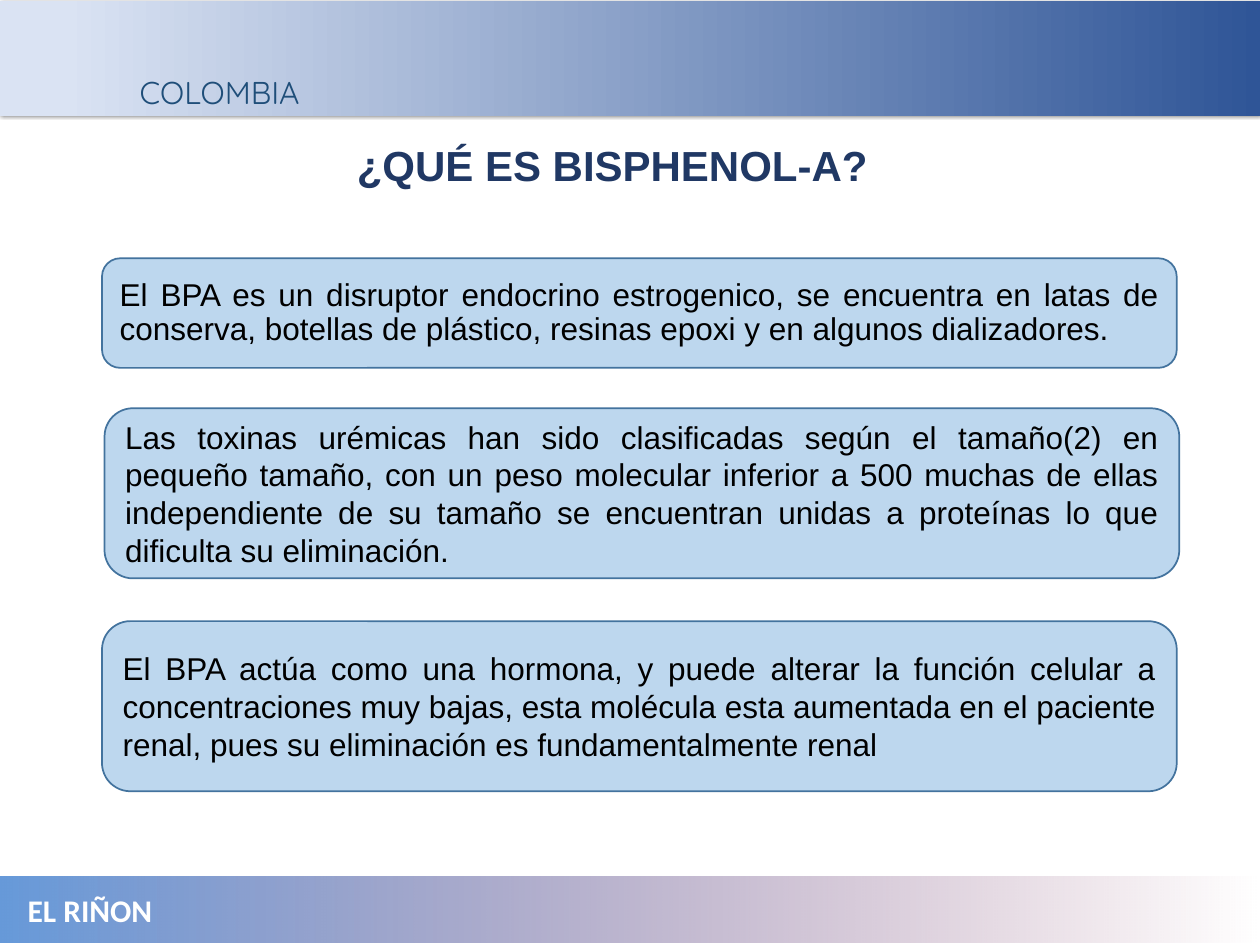
from pptx import Presentation
from pptx.dml.color import RGBColor
from pptx.enum.shapes import MSO_SHAPE
from pptx.enum.text import MSO_ANCHOR, MSO_AUTO_SIZE, PP_ALIGN
from pptx.oxml.ns import qn
from pptx.util import Inches, Pt
from lxml.etree import SubElement

NAVY = RGBColor(0x2F, 0x55, 0x97)
PALE = RGBColor(0xDA, 0xE3, 0xF3)
WINE = RGBColor(0x82, 0x2A, 0x55)
BLUE = RGBColor(0x55, 0x8E, 0xD5)
TEAL = RGBColor(0x1F, 0x4E, 0x79)
DARK = RGBColor(0x20, 0x38, 0x64)
SKY = RGBColor(0xBD, 0xD7, 0xEE)
EDGE = RGBColor(0x43, 0x73, 0x9E)
WHITE = RGBColor(0xFF, 0xFF, 0xFF)
BLACK = RGBColor(0, 0, 0)

CARDS = [
    (0.81, 2.05, 0.87, 0.9,
     "El BPA es un disruptor endocrino estrogenico, se encuentra en latas de "
     "conserva, botellas de plástico, resinas epoxi y en algunos dializadores."),
    (0.83, 3.24, 1.35, None,
     "Las toxinas urémicas han sido clasificadas según el tamaño(2) en pequeño "
     "tamaño, con un peso molecular inferior a 500 muchas de ellas independiente "
     "de su tamaño se encuentran unidas a proteínas lo que dificulta su eliminación."),
    (0.81, 4.93, 1.35, None,
     "El BPA actúa como una hormona, y puede alterar la función celular a "
     "concentraciones muy bajas, esta molécula esta aumentada en el paciente "
     "renal, pues su eliminación es fundamentalmente renal"),
]


class Deck:
    """Holds the text style and the current slide."""

    size = 18
    face = "Arial"

    def __init__(self, slide):
        self.slide = slide

    def add_text(self, frame, text, color, align, face=None, size=None, bold=False, space=None):
        frame.word_wrap = True
        para = frame.paragraphs[0]
        para.alignment = align
        para.line_spacing = space
        run = para.add_run()
        run.text = text
        font = run.font
        font.name = face or self.face
        font.size = Pt(size or self.size)
        font.bold = bold
        font.color.rgb = color

    def shape(self, kind, left, top, width, height):
        item = self.slide.shapes.add_shape(
            kind, Inches(left), Inches(top), Inches(width), Inches(height))
        item.shadow.inherit = False
        return item

    def band(self, top, height, stops):
        item = self.shape(MSO_SHAPE.RECTANGLE, 0, top, 10, height)
        item.line.fill.background()
        item.fill.gradient()
        item.fill.gradient_angle = 180
        for stop, (place, color, _) in zip(item.fill.gradient_stops, stops):
            stop.position = place
            stop.color.rgb = color
        for node, (_, _, alpha) in zip(item._element.spPr.iter(qn("a:srgbClr")), stops):
            SubElement(node, qn("a:alpha"), val=str(alpha * 1000))
        return item

    def shade(self, item):
        effects = item._element.spPr.find(qn("a:effectLst"))
        outer = SubElement(effects, qn("a:outerShdw"), blurRad=str(int(Pt(2))), dist="0", dir="0")
        color = SubElement(outer, qn("a:srgbClr"), val=str(BLACK))
        SubElement(color, qn("a:alpha"), val="40000")

    def label(self, left, top, width, text, color, align, face, bold=False):
        box = self.slide.shapes.add_textbox(
            Inches(left), Inches(top), Inches(width), Inches(0.4))
        self.add_text(box.text_frame, text, color, align, face, bold=bold)
        box.text_frame.auto_size = MSO_AUTO_SIZE.SHAPE_TO_FIT_TEXT

    def title(self, text):
        item = self.slide.shapes.title
        item.left, item.top = Inches(1.77), Inches(1)
        item.width, item.height = Inches(6.18), Inches(0.67)
        item.text_frame.vertical_anchor = MSO_ANCHOR.MIDDLE
        self.add_text(item.text_frame, text, DARK, PP_ALIGN.CENTER, size=24, bold=True, space=0.9)

    def card(self, left, top, height, space, text):
        item = self.shape(MSO_SHAPE.ROUNDED_RECTANGLE, left, top, 8.53, height)
        item.fill.solid()
        item.fill.fore_color.rgb = SKY
        item.line.color.rgb = EDGE
        item.line.width = Pt(1)
        item.text_frame.vertical_anchor = MSO_ANCHOR.MIDDLE
        self.add_text(item.text_frame, text, BLACK, PP_ALIGN.JUSTIFY, space=space)


def main():
    show = Presentation()
    show.slide_width, show.slide_height = Inches(10), Inches(7.5)
    deck = Deck(show.slides.add_slide(show.slide_layouts[5]))
    head = deck.band(0.01, 0.91, [(0, NAVY, 100), (0.95, PALE, 100)])
    deck.shade(head)
    deck.label(1.01, 0.53, 1.57, "COLOMBIA", TEAL, PP_ALIGN.LEFT, "Quicksand")
    deck.band(6.96, 0.52, [(0, WINE, 0), (1, BLUE, 90)])
    deck.label(0.12, 7.02, 7.81, "EL RIÑON", WHITE, PP_ALIGN.JUSTIFY, "Calibri", True)
    deck.title("¿QUÉ ES BISPHENOL-A?")
    for card in CARDS:
        deck.card(*card)
    show.save("out.pptx")


if __name__ == "__main__":
    main()
